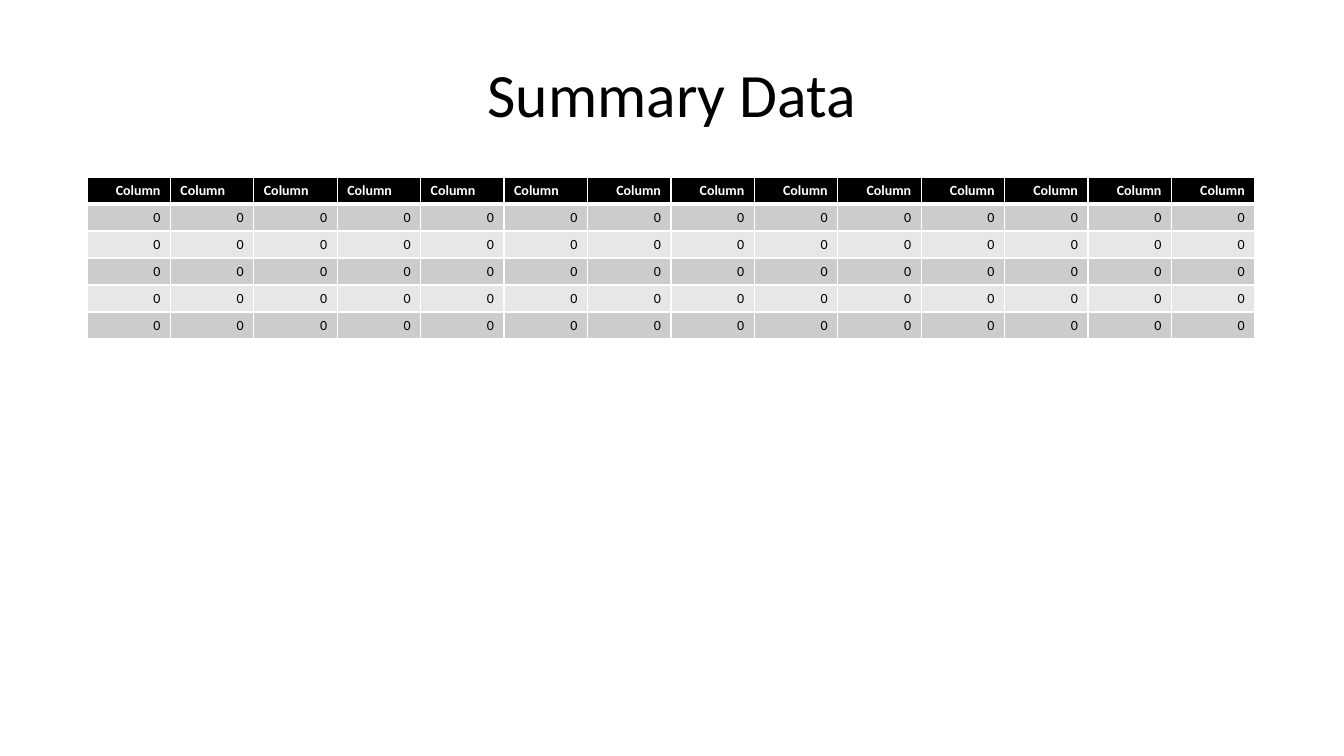
from dataclasses import dataclass

from lxml.etree import SubElement
from pptx import Presentation
from pptx.dml.color import RGBColor
from pptx.enum.text import MSO_ANCHOR, PP_ALIGN
from pptx.oxml.ns import qn
from pptx.util import Emu, Pt


@dataclass(frozen=True)
class Theme:
    """Colours, font and type sizes of the slide."""
    font: str = "Calibri"
    title_size: int = 44
    table_size: int = 10
    dark: str = "000000"
    light: str = "FFFFFF"
    bands: tuple = ("CCCCCC", "E7E7E7")
    thin_border: int = 1
    header_border: int = 3


theme = Theme()
SCALE = 914400 / 100.8
COLUMNS, ROWS = 14, 6
TABLE_LEFT, TABLE_TOP, TABLE_WIDTH, ROW_HEIGHT = 87, 177, 1168, 27
LEFT_ALIGNED_HEADERS = range(1, 6)


def add_text(text_frame, text, size, color, alignment, bold=False):
    """Write one styled run into the first paragraph of a text frame."""
    paragraph = text_frame.paragraphs[0]
    paragraph.alignment = alignment
    run = paragraph.add_run()
    run.text = text
    run.font.name = theme.font
    run.font.size = Pt(size)
    run.font.bold = bold
    run.font.color.rgb = RGBColor.from_string(color)


def add_border(cell, side, width):
    """Draw one light border line on a cell; call before filling it."""
    properties = cell._tc.get_or_add_tcPr()
    line = SubElement(properties, qn(f"a:ln{side}"), w=str(Pt(width)))
    fill = SubElement(line, qn("a:solidFill"))
    SubElement(fill, qn("a:srgbClr"), val=theme.light)


presentation = Presentation()
presentation.slide_width = Emu(round(1344 * SCALE))
presentation.slide_height = Emu(round(756 * SCALE))
slide = presentation.slides.add_slide(presentation.slide_layouts[6])

# Title
title_box = [Emu(round(pixels * SCALE)) for pixels in (67, 30, 1210, 126)]
title = slide.shapes.add_textbox(*title_box).text_frame
title.word_wrap = True
title.vertical_anchor = MSO_ANCHOR.MIDDLE
add_text(title, "Summary Data", theme.title_size, theme.dark, PP_ALIGN.CENTER)

# Summary table
table_box = [
    Emu(round(pixels * SCALE))
    for pixels in (TABLE_LEFT, TABLE_TOP, TABLE_WIDTH, ROWS * ROW_HEIGHT)
]
table = slide.shapes.add_table(ROWS, COLUMNS, *table_box).table

for row_index, row in enumerate(table.rows):
    is_header = row_index == 0
    text = "Column" if is_header else "0"
    text_color = theme.light if is_header else theme.dark
    fill_color = theme.dark if is_header else theme.bands[(row_index - 1) % 2]
    border_widths = {
        "L": theme.thin_border,
        "R": theme.thin_border,
        "T": theme.header_border if row_index == 1 else theme.thin_border,
        "B": theme.header_border if is_header else theme.thin_border,
    }
    for column_index, cell in enumerate(row.cells):
        left_aligned = is_header and column_index in LEFT_ALIGNED_HEADERS
        alignment = PP_ALIGN.LEFT if left_aligned else PP_ALIGN.RIGHT
        add_text(cell.text_frame, text, theme.table_size, text_color,
                 alignment, bold=is_header)
        for side, width in border_widths.items():
            add_border(cell, side, width)
        cell.fill.solid()
        cell.fill.fore_color.rgb = RGBColor.from_string(fill_color)

presentation.save("out.pptx")
